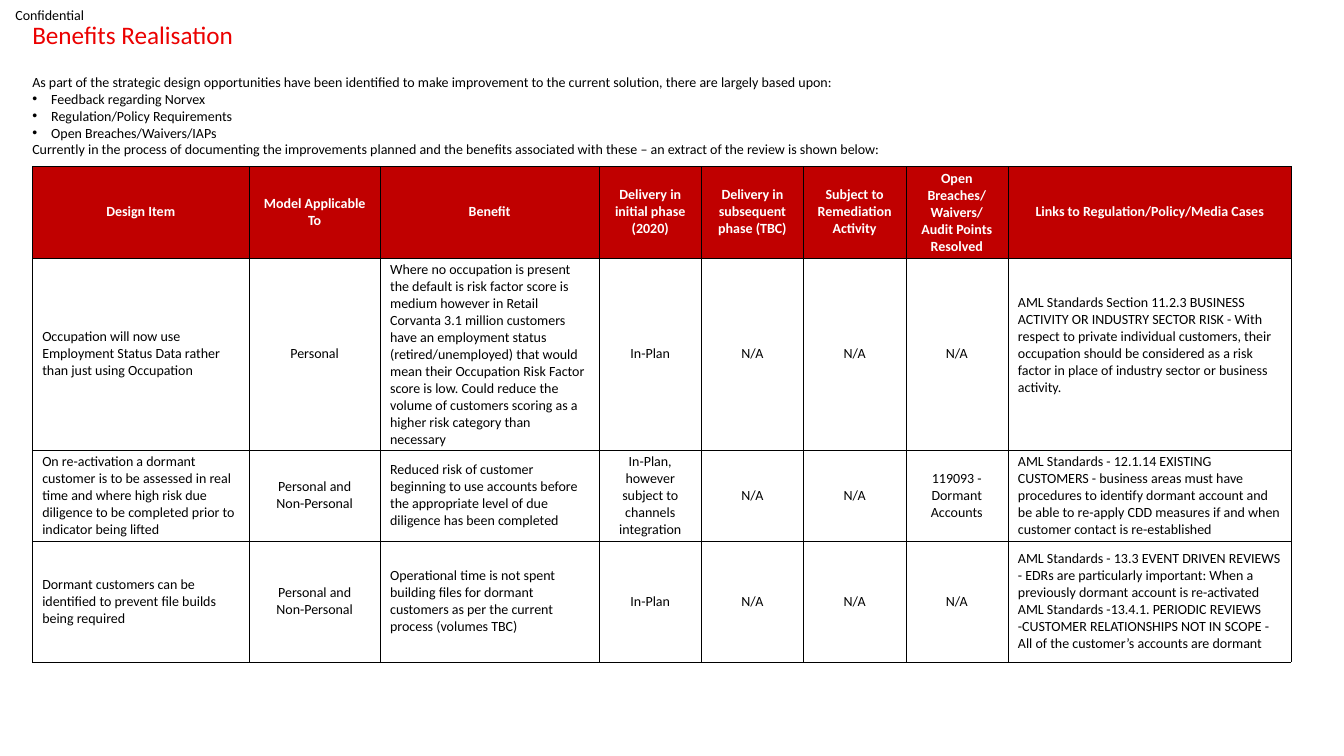
from pptx import Presentation
from pptx.dml.color import RGBColor
from pptx.enum.text import MSO_ANCHOR, PP_ALIGN
from pptx.oxml import parse_xml
from pptx.oxml.ns import nsdecls
from pptx.util import Pt

# Content
INTRO = [
    "As part of the strategic design opportunities have been identified to make improvement "
    "to the current solution, there are largely based upon:",
    "Feedback regarding Norvex",
    "Regulation/Policy Requirements",
    "Open Breaches/Waivers/IAPs",
    "Currently in the process of documenting the improvements planned and the benefits "
    "associated with these – an extract of the review is shown below:",
]
HEADINGS = [
    "Design Item", "Model Applicable To", "Benefit", "Delivery in initial phase (2020)",
    "Delivery in subsequent phase (TBC)", "Subject to Remediation Activity",
    "Open Breaches/ Waivers/ Audit Points Resolved", "Links to Regulation/Policy/Media Cases",
]
BENEFITS = [
    ["Occupation will now use Employment Status Data rather than just using Occupation",
     "Personal",
     "Where no occupation is present the default is risk factor score is medium however in "
     "Retail Corvanta 3.1 million customers have an employment status (retired/unemployed) "
     "that would mean their Occupation Risk Factor score is low. Could reduce the volume of "
     "customers scoring as a higher risk category than necessary",
     "In-Plan", "N/A", "N/A", "N/A",
     "AML Standards Section 11.2.3 BUSINESS ACTIVITY OR INDUSTRY SECTOR RISK - With respect "
     "to private individual customers, their occupation should be considered as a risk factor "
     "in place of industry sector or business activity."],
    ["On re-activation a dormant customer is to be assessed in real time and where high risk "
     "due diligence to be completed prior to indicator being lifted",
     "Personal and\nNon-Personal",
     "Reduced risk of customer beginning to use accounts before the appropriate level of due "
     "diligence has been completed",
     "In-Plan, however subject to channels integration", "N/A", "N/A",
     "119093 - Dormant Accounts",
     "AML Standards - 12.1.14 EXISTING CUSTOMERS - business areas must have procedures to "
     "identify dormant account and be able to re-apply CDD measures if and when customer "
     "contact is re-established"],
    ["Dormant customers can be identified to prevent file builds being required",
     "Personal and\nNon-Personal",
     "Operational time is not spent building files for dormant customers as per the current "
     "process (volumes TBC)",
     "In-Plan", "N/A", "N/A", "N/A",
     "AML Standards - 13.3 EVENT DRIVEN REVIEWS - EDRs are particularly important: When a "
     "previously dormant account is re-activated\vAML Standards -13.4.1. PERIODIC REVIEWS "
     "-CUSTOMER RELATIONSHIPS NOT IN SCOPE - All of the customer’s accounts are dormant"],
]
COLUMN_WIDTHS = [155, 93.5, 156.5, 73, 73, 73, 73, 202.5]
ROW_HEIGHTS = [49.5, 135.5, 62, 86.5]
LEFT_COLUMNS = {0, 2, 7}


def color(code):
    return RGBColor.from_string(code)


def apply(target, values):
    for name, value in values.items():
        setattr(target, name, value)


class SlideBuilder:
    font = "Calibri"
    black, white, title_red, header_red = "000000", "FFFFFF", "EB0000", "C00000"
    cell_format = {
        "margin_left": Pt(7.2), "margin_right": Pt(7.2), "margin_top": Pt(2.5),
        "margin_bottom": Pt(2.5), "vertical_anchor": MSO_ANCHOR.MIDDLE,
    }

    def __init__(self, page):
        self.page = page

    def style(self, frame, ink, size=10, bold=False, align=PP_ALIGN.LEFT, spacing=1.0):
        for para in frame.paragraphs:
            apply(para, {"alignment": align, "line_spacing": spacing})
            for span in para.runs:
                apply(span.font, {"name": self.font, "size": Pt(size), "bold": bold})
                span.font.color.rgb = color(ink)

    def text(self, place, words, ink=black, frame_format=None, **text_format):
        box = self.page.shapes.add_textbox(*map(Pt, place))
        frame = box.text_frame
        apply(frame, {"word_wrap": True, **(frame_format or {})})
        frame.text = words
        self.style(frame, ink, **text_format)
        return frame

    def bullet(self, para, indent=13.5):
        properties = para._p.get_or_add_pPr()
        properties.set("marL", str(Pt(indent)))
        properties.set("indent", str(-Pt(indent)))
        for tag in ('buFont {} typeface="Arial"', 'buChar {} char="•"'):
            properties.append(parse_xml(f"<a:{tag.format(nsdecls('a'))}/>"))

    def borders(self, cell, width=0.25):
        properties = cell._tc.get_or_add_tcPr()
        for position, side in enumerate("LRTB"):
            properties.insert(position, parse_xml(
                f'<a:ln{side} {nsdecls("a")} w="{Pt(width)}"><a:solidFill>'
                f'<a:srgbClr val="{self.black}"/></a:solidFill></a:ln{side}>'))

    def cell(self, cell, words, header, align):
        apply(cell, self.cell_format)
        cell.text = words
        if header:
            cell.fill.solid()
            cell.fill.fore_color.rgb = color(self.header_red)
        else:
            cell.fill.background()
        self.borders(cell)
        self.style(cell.text_frame, self.white if header else self.black,
                   bold=header, align=align)

    def table(self, left, top, rows):
        table = self.page.shapes.add_table(
            len(rows), len(COLUMN_WIDTHS), Pt(left), Pt(top),
            Pt(sum(COLUMN_WIDTHS)), Pt(sum(ROW_HEIGHTS))).table
        apply(table, {"first_row": False, "horz_banding": False})
        for column, width in zip(table.columns, COLUMN_WIDTHS):
            column.width = Pt(width)
        for row, height in zip(table.rows, ROW_HEIGHTS):
            row.height = Pt(height)
        for r, texts in enumerate(rows):
            for c, words in enumerate(texts):
                header = r == 0
                left_aligned = c in LEFT_COLUMNS and not header
                self.cell(table.cell(r, c), words, header,
                          PP_ALIGN.LEFT if left_aligned else PP_ALIGN.CENTER)
        return table


def main():
    deck = Presentation()
    apply(deck, {"slide_width": Pt(960), "slide_height": Pt(540)})
    builder = SlideBuilder(deck.slides.add_slide(deck.slide_layouts[6]))

    # Classification label and title
    no_margins = dict.fromkeys(
        ["margin_left", "margin_right", "margin_top", "margin_bottom"], 0)
    builder.text((0, 0, 71, 21), "Confidential", align=PP_ALIGN.CENTER,
                 frame_format={**no_margins, "vertical_anchor": MSO_ANCHOR.MIDDLE})
    builder.text((16, 13, 597.5, 24), "Benefits Realisation", builder.title_red,
                 size=18, spacing=0.9)

    # Introduction with bulleted sources
    intro = builder.text((16, 49, 921, 80), "\n".join(INTRO))
    for para in intro.paragraphs[1:-1]:
        builder.bullet(para)

    # Benefits table, with the first regulation link raised a little
    benefits = builder.table(23, 119, [HEADINGS, *BENEFITS])
    benefits.cell(1, 7).margin_bottom = Pt(14.5)

    deck.save("out.pptx")


if __name__ == "__main__":
    main()
